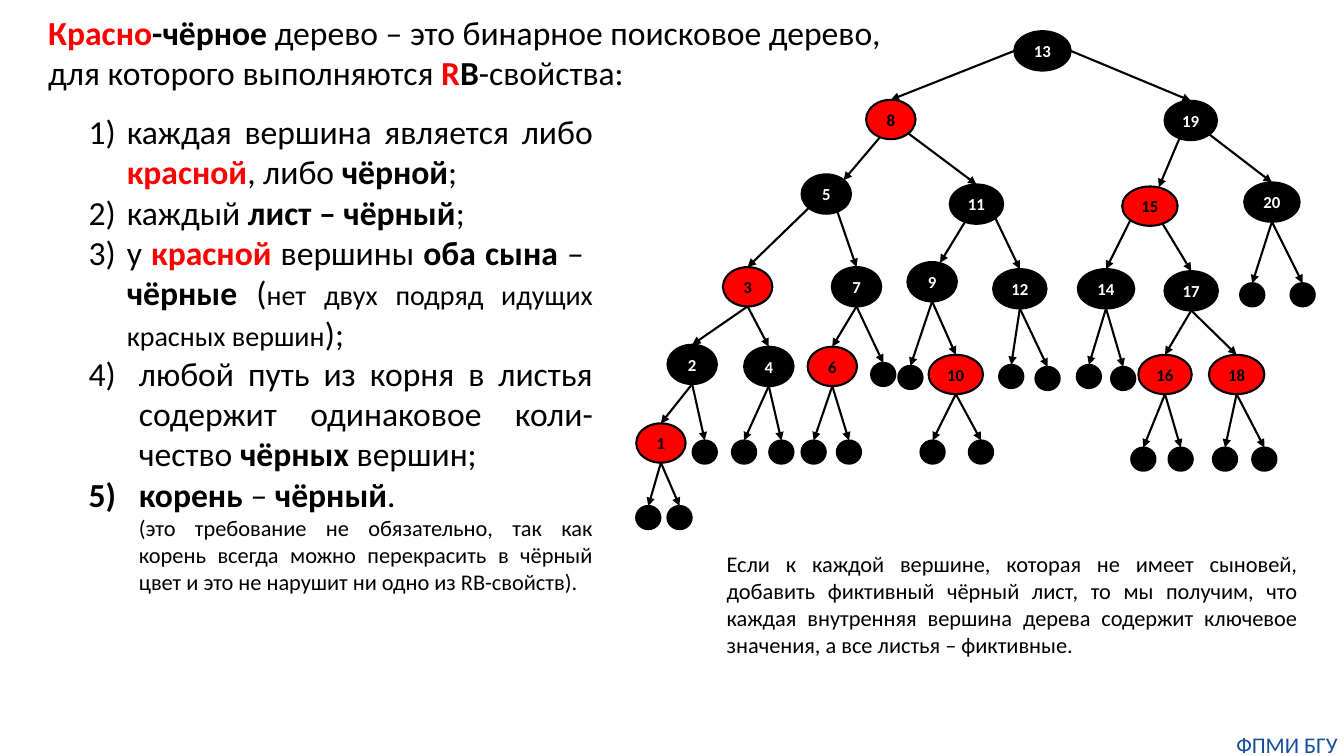
from lxml import etree
from pptx import Presentation
from pptx.dml.color import RGBColor
from pptx.enum.shapes import MSO_CONNECTOR, MSO_SHAPE
from pptx.enum.text import MSO_ANCHOR, MSO_AUTO_SIZE, PP_ALIGN
from pptx.oxml.ns import qn
from pptx.util import Pt

PX = 9144
ELLIPSE = MSO_SHAPE.OVAL
STRAIGHT = MSO_CONNECTOR.STRAIGHT
MIDDLE = MSO_ANCHOR.MIDDLE
GROW = MSO_AUTO_SIZE.SHAPE_TO_FIT_TEXT
CENTER, JUSTIFY = PP_ALIGN.CENTER, PP_ALIGN.JUSTIFY

COLORS = {"black": "000000", "red": "FF0000", "white": "FFFFFF", "navy": "144E9D"}
FORMATS = {
    "plain": ({"size": Pt(24)}, "black"),
    "bold": ({"size": Pt(24), "bold": True}, "black"),
    "red": ({"size": Pt(24), "bold": True}, "red"),
    "aside": ({"size": Pt(20)}, "black"),
    "note": ({"size": Pt(16)}, "black"),
    "footer": ({"size": Pt(16)}, "navy"),
    "key on black": ({"size": Pt(12), "bold": True}, "white"),
    "key on red": ({"size": Pt(12), "bold": True}, "black"),
}

NODE_HEIGHT = 39
LEAF_SIZE = (24, 23)
NODES = {
    13: (1006, 31, 56, "black"),
    8: (859, 99, 49, "red"),
    19: (1155, 100, 52, "black"),
    5: (795, 173, 49, "black"),
    11: (942, 183, 53, "black"),
    15: (1113, 185, 55, "red"),
    20: (1234, 181, 55, "black"),
    3: (717, 265, 49, "red"),
    7: (825, 265, 49, "black"),
    9: (900, 260, 49, "black"),
    12: (985, 267, 53, "black"),
    14: (1069, 267, 56, "black"),
    17: (1155, 269, 53, "black"),
    2: (662, 342, 49, "black"),
    4: (738, 344, 49, "black"),
    6: (801, 344, 49, "red"),
    10: (921, 352, 54, "red"),
    16: (1129, 352, 53, "red"),
    18: (1199, 352, 55, "red"),
    1: (631, 420, 49, "red"),
}
LEAVES = {
    1: [(631, 502), (662, 502)],
    2: [(687, 437)],
    4: [(726, 437), (763, 437)],
    6: [(795, 437), (830, 437)],
    7: [(864, 360)],
    9: [(891, 363)],
    10: [(913, 437), (961, 437)],
    12: [(991, 362), (1027, 364)],
    14: [(1068, 362), (1102, 364)],
    16: [(1122, 444), (1159, 444)],
    18: [(1203, 444), (1242, 444)],
    20: [(1230, 281), (1280, 281)],
}
SITES = {
    "top": (0.5, 0),
    "top right": (0.66, 0.02),
    "upper right": (0.85, 0.15),
    "left": (0, 0.5),
    "right": (1, 0.5),
    "lower left": (0.15, 0.85),
    "lower right": (0.85, 0.85),
    "bottom left": (0.29, 0.94),
    "bottom right": (0.72, 0.93),
    "bottom": (0.5, 1),
}
EDGES = [
    (13, 8, "left", "top"),
    (13, 19, "right", "top"),
    (8, 5, "bottom left", "upper right"),
    (8, 11, "lower right", "top"),
    (19, 15, "bottom left", "top right"),
    (19, 20, "lower right", "top"),
    (5, 3, "lower left", "top"),
    (5, 7, "bottom right", "top"),
    (11, 9, "bottom left", "top right"),
    (11, 12, "lower right", "top"),
    (15, 14, "lower left", "top"),
    (15, 17, "bottom right", "top"),
    (3, 2, "bottom", "top"),
    (3, 4, "bottom", "top"),
    (7, 6, "bottom", "top"),
    (9, 10, "bottom", "top"),
    (17, 16, "bottom", "top"),
    (17, 18, "bottom", "top"),
    (2, 1, "bottom", "top"),
]

DEFINITION = [
    [("Красно", "red"), ("-чёрное ", "bold"),
     ("дерево – это бинарное поисковое дерево, ", "plain")],
    [("для которого выполняются ", "plain"), ("R", "red"), ("B", "bold"),
     ("-свойства:", "plain")],
]
PROPERTIES = [
    [("каждая вершина являетcя либо ", "plain"), ("красной", "red"),
     (", либо ", "plain"), ("чёрной", "bold"), (";", "plain")],
    [("каждый ", "plain"), ("лист – чёрный", "bold"), (";", "plain")],
    [("у ", "plain"), ("красной", "red"), (" вершины ", "plain"),
     ("оба сына ", "bold"), ("– ", "plain"), (" чёрные ", "bold"), ("(", "plain"),
     ("нет двух подряд идущих красных вершин", "aside"), (");", "plain")],
    [("любой путь из корня в листья содержит одинаковое коли-чество ", "plain"),
     ("чёрных", "bold"), (" вершин;", "plain")],
    [("корень", "bold"), (" – ", "plain"), ("чёрный", "bold"), (".", "plain")],
    [("(это требование не обязательно, так как корень всегда можно перекрасить "
      "в чёрный цвет и это не нарушит ни одно из RB-свойств).", "note")],
]
PROPERTY_LAYOUT = [(88, -38, 1)] * 3 + [(100, -50, 4)] * 2 + [(100, 0, None)]
LEAF_NOTE = [[("Если к каждой вершине, которая не имеет сыновей, добавить фиктивный "
               "чёрный лист, то мы получим, что каждая внутренняя вершина дерева "
               "содержит ключевое значения, а все листья – фиктивные. ", "note")]]
FOOTER = [[("ФПМИ БГУ", "footer")]]


def rgb(color):
    return RGBColor.from_string(COLORS[color])


def write_runs(paragraph, runs, align):
    paragraph.alignment = align
    for text, style in runs:
        run = paragraph.add_run()
        run.text = text
        values, color = FORMATS[style]
        for name, value in {"name": "Calibri", "bold": False, **values}.items():
            setattr(run.font, name, value)
        run.font.color.rgb = rgb(color)


def add_text(slide, box, paragraphs, align=JUSTIFY, **frame_format):
    frame = slide.shapes.add_textbox(*(length * PX for length in box)).text_frame
    for name, value in {"word_wrap": True, "auto_size": GROW, **frame_format}.items():
        setattr(frame, name, value)
    for index, runs in enumerate(paragraphs):
        paragraph = frame.add_paragraph() if index else frame.paragraphs[0]
        write_runs(paragraph, runs, align)
    return frame


def number_properties(paragraphs):
    for paragraph, (margin, indent, start) in zip(paragraphs, PROPERTY_LAYOUT):
        paragraph.level = 1 if start else 2
        properties = paragraph._p.get_or_add_pPr()
        properties.set("marL", str(margin * PX))
        properties.set("indent", str(indent * PX))
        if start:
            numbering = etree.SubElement(properties, qn("a:buAutoNum"), type="arabicParenR")
            if start > 1:
                numbering.set("startAt", str(start))


def add_vertex(slide, box, color, key=None):
    vertex = slide.shapes.add_shape(ELLIPSE, *(length * PX for length in box))
    vertex.shadow.inherit = False
    vertex.fill.solid()
    vertex.fill.fore_color.rgb = rgb(color)
    vertex.line.color.rgb = rgb("black")
    vertex.line.width = Pt(1.5)
    if key is not None:
        frame = vertex.text_frame
        frame.vertical_anchor = MIDDLE
        write_runs(frame.paragraphs[0], [(str(key), f"key on {color}")], CENTER)


def site_point(box, site):
    left, top, width, height = box
    across, down = SITES[site]
    return round((left + width * across) * PX), round((top + height * down) * PX)


def add_arrow(slide, parent, child, start="bottom", end="top"):
    arrow = slide.shapes.add_connector(
        STRAIGHT, *site_point(parent, start), *site_point(child, end))
    arrow.line.color.rgb = rgb("black")
    arrow.line.width = Pt(1.5)
    etree.SubElement(arrow.line._get_or_add_ln(), qn("a:tailEnd"), type="triangle")
    etree.SubElement(arrow._element.spPr, qn("a:effectLst"))


def add_tree(slide):
    boxes = {key: (left, top, width, NODE_HEIGHT)
             for key, (left, top, width, color) in NODES.items()}
    for key, box in boxes.items():
        add_vertex(slide, box, NODES[key][-1], key)
    for parent, child, start, end in EDGES:
        add_arrow(slide, boxes[parent], boxes[child], start, end)
    for parent, corners in LEAVES.items():
        for corner in corners:
            leaf = corner + LEAF_SIZE
            add_vertex(slide, leaf, "black")
            add_arrow(slide, boxes[parent], leaf)


def main():
    deck = Presentation()
    deck.slide_width, deck.slide_height = 1333 * PX, 750 * PX
    slide = deck.slides.add_slide(deck.slide_layouts[6])
    add_text(slide, (1220, 725, 113, 27), FOOTER, CENTER,
             margin_left=0, margin_right=0, margin_top=0, margin_bottom=0)
    add_tree(slide)
    properties = add_text(slide, (28, 105, 570, 495), PROPERTIES)
    number_properties(properties.paragraphs)
    add_text(slide, (711, 541, 586, 118), LEAF_NOTE)
    add_text(slide, (38, 7, 912, 91), DEFINITION)
    deck.save("out.pptx")


if __name__ == "__main__":
    main()
